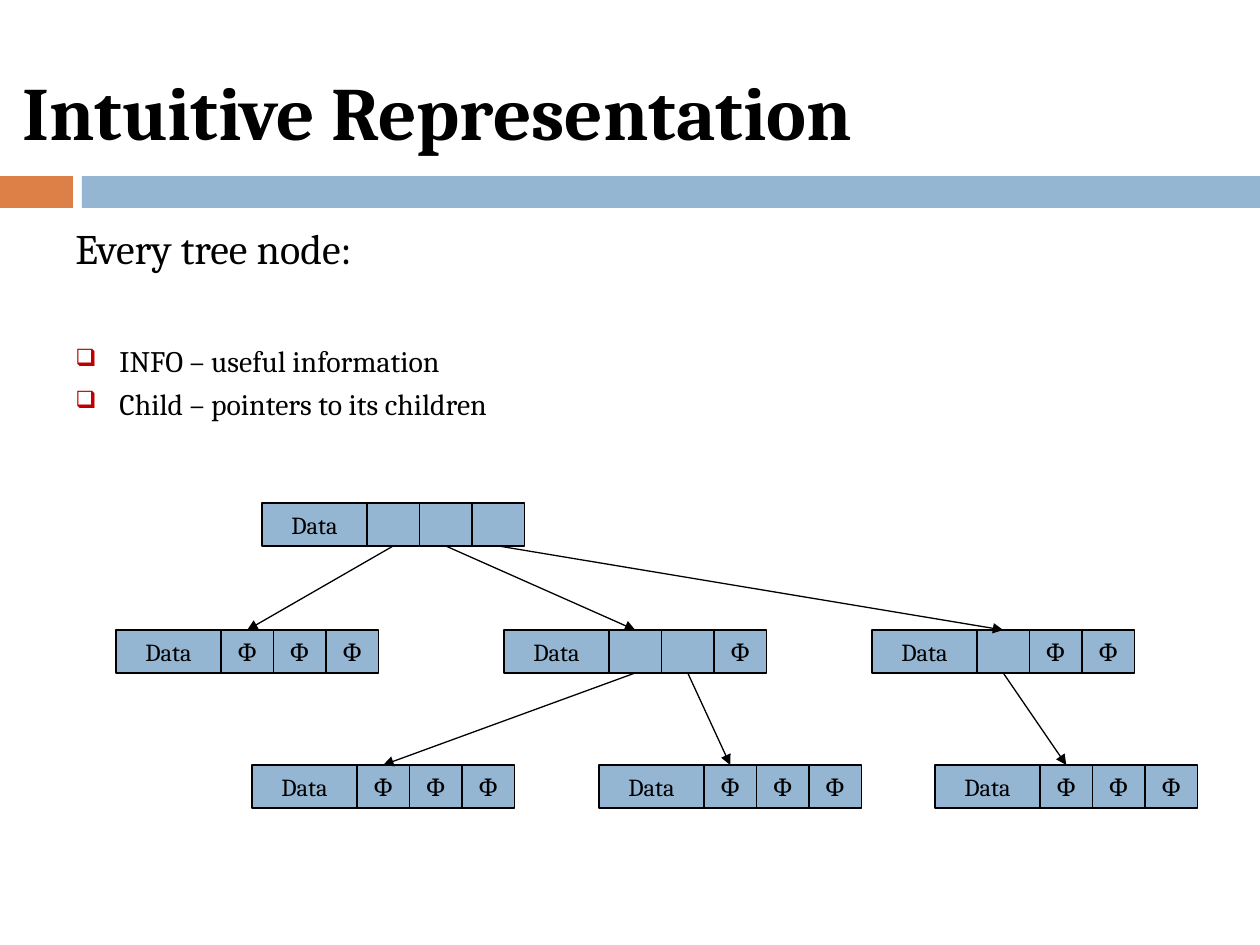
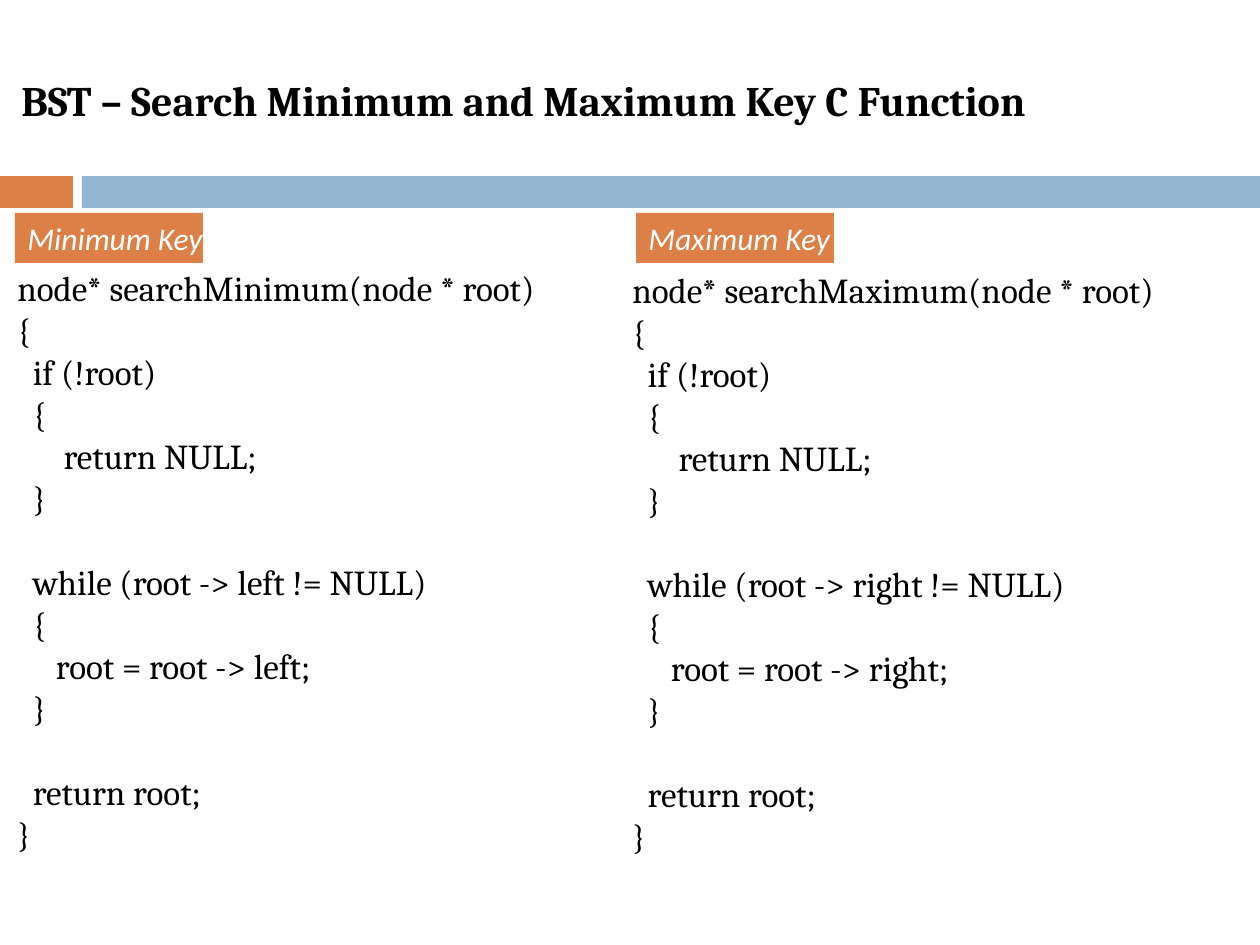
from dataclasses import dataclass

from lxml import etree
from pptx import Presentation
from pptx.dml.color import RGBColor
from pptx.enum.shapes import MSO_CONNECTOR, MSO_SHAPE
from pptx.enum.text import MSO_ANCHOR, PP_ALIGN
from pptx.oxml.ns import qn
from pptx.util import Emu, Pt

RECT, STRAIGHT = MSO_SHAPE.RECTANGLE, MSO_CONNECTOR.STRAIGHT
TOP, MIDDLE = MSO_ANCHOR.TOP, MSO_ANCHOR.MIDDLE
LEFT, CENTER = PP_ALIGN.LEFT, PP_ALIGN.CENTER
TOP_SITE, BOTTOM_SITE = 0, 2

# ---- Content ----
TREE_TITLE = "Intuitive Representation"
INTRO = "Every tree node:"
FIELDS = ["INFO – useful information", "Child – pointers to its children"]

# name: (left, top, children); a missing child is a null pointer
NODES = {
    "root": (262, 503, ["a", "b", "c"]),
    "a": (116, 630, [None, None, None]),
    "b": (504, 630, ["d", "e", None]),
    "c": (872, 630, ["f", None, None]),
    "d": (252, 765, [None, None, None]),
    "e": (599, 765, [None, None, None]),
    "f": (935, 765, [None, None, None]),
}
DATA, NULL = "Data", "Φ"

SEARCH_TITLE = "BST – Search Minimum and Maximum Key C Function"
SEARCH_CODE = """node* search{name}(node * root)
{{
  if (!root)
  {{
      return NULL;
  }}

  while (root -> {side} != NULL)
  {{
     root = root -> {side};
  }}

  return root;
}}"""
# name, child followed, label (left, width), code (left, top)
SEARCHES = [
    ("Minimum", "left", (15, 188), (5, 260)),
    ("Maximum", "right", (636, 198), (620, 262)),
]


@dataclass(frozen=True)
class Theme:
    orange: RGBColor = RGBColor(0xDD, 0x80, 0x47)
    blue: RGBColor = RGBColor(0x94, 0xB6, 0xD2)
    bullet: str = "C00000"
    black: RGBColor = RGBColor(0, 0, 0)
    white: RGBColor = RGBColor(255, 255, 255)
    serif: str = "Cambria"
    sans: str = "Calibri"
    big_title: int = 43
    small_title: int = 24
    intro: int = 24
    field: int = 17
    node: int = 14
    code: int = 20
    label: int = 18
    line: float = 0.75


THEME = Theme()
SLIDE_W, SLIDE_H = 1260, 945
BANDS = [(0, 73, THEME.orange), (82, SLIDE_W - 82, THEME.blue)]
BAND_TOP, BAND_H = 176, 32
DATA_W, NODE_H = 105, 43
POINTER_W = DATA_W / 2
FIELD_INDENT = 44
INTRO_GAP, CODE_GAP = 36, 24


def px(n):
    return Emu(round(n * 914400 / 126))


def add_box(shapes, x, y, w, h, fill):
    s = shapes.add_shape(RECT, px(x), px(y), px(w), px(h))
    s.shadow.inherit = False
    s.fill.solid()
    s.fill.fore_color.rgb = fill
    s.line.fill.background()
    return s


def add_textbox(slide, x, y, w, h):
    s = slide.shapes.add_textbox(px(x), px(y), px(w), px(h))
    s.text_frame.word_wrap = True
    return s


def style(p, size, color=THEME.black, font=THEME.serif, bold=False, italic=False):
    for r in p.runs:
        f = r.font
        f.size, f.name, f.bold, f.italic = Pt(size), font, bold, italic
        f.color.rgb = color


def set_text(s, text, size, anchor=TOP, align=LEFT, **look):
    tf = s.text_frame
    tf.text = text
    tf.vertical_anchor = anchor
    for p in tf.paragraphs:
        p.alignment = align
        style(p, size, **look)
    return tf


def add_bullet(p):
    pPr = p._p.get_or_add_pPr()
    pPr.set("marL", str(px(FIELD_INDENT)))
    pPr.set("indent", str(-px(FIELD_INDENT)))
    color = etree.SubElement(pPr, qn("a:buClr"))
    etree.SubElement(color, qn("a:srgbClr"), val=THEME.bullet)
    etree.SubElement(pPr, qn("a:buSzPct"), val="80000")
    etree.SubElement(pPr, qn("a:buChar"), char="❑")


def add_arrow(slide, start, end):
    """Join the bottom of one shape to the top of another."""
    c = slide.shapes.add_connector(STRAIGHT, 0, 0, 0, 0)
    c.begin_connect(start, BOTTOM_SITE)
    c.end_connect(end, TOP_SITE)
    c.line.color.rgb = THEME.black
    c.line.width = Pt(THEME.line)
    etree.SubElement(c.line._get_or_add_ln(), qn("a:tailEnd"), type="triangle")
    etree.SubElement(c._element.spPr, qn("a:effectLst"))


def add_slide(prs, title, size, x, y):
    slide = prs.slides.add_slide(prs.slide_layouts[6])
    for left, width, color in BANDS:
        add_box(slide.shapes, left, BAND_TOP, width, BAND_H, color)
    set_text(add_textbox(slide, x, y, 1124, 136), title, size, MIDDLE, bold=True)
    return slide


def add_node(slide, x, y, children):
    """Draw a data cell and its pointer cells; return the pointer cells."""
    group = slide.shapes.add_group_shape()
    cells = [(x, DATA_W, DATA)]
    for i, child in enumerate(children):
        cells.append((x + DATA_W + i * POINTER_W, POINTER_W, "" if child else NULL))
    boxes = []
    for left, width, text in cells:
        s = add_box(group.shapes, left, y, width, NODE_H, THEME.blue)
        s.line.color.rgb = THEME.black
        s.line.width = Pt(THEME.line)
        if text:
            tf = set_text(s, text, THEME.node, MIDDLE, CENTER)
            tf.margin_left = tf.margin_right = tf.margin_top = tf.margin_bottom = 0
        boxes.append(s)
    return boxes[1:]


def build_tree_slide(prs):
    slide = add_slide(prs, TREE_TITLE, THEME.big_title, 10, 42)
    tf = set_text(add_textbox(slide, 63, 216, 1134, 270), INTRO, THEME.intro)
    for i, field in enumerate(FIELDS):
        p = tf.add_paragraph()
        p.text = field
        add_bullet(p)
        p.line_spacing = 1.2
        p.space_before = Pt(0 if i else INTRO_GAP)
        style(p, THEME.field)

    pointers = {name: add_node(slide, *node) for name, node in NODES.items()}
    for name, (_, _, children) in NODES.items():
        for cell, child in zip(pointers[name], children):
            if child:
                add_arrow(slide, cell, pointers[child][0])


def add_code(slide, x, y, code):
    """Write code with its blank lines turned into paragraph spacing."""
    blocks = code.split("\n\n")
    s = add_textbox(slide, x, y, 605, 606)
    tf = set_text(s, "\n".join(blocks), THEME.code)
    first = 0
    for block in blocks[:-1]:
        first += len(block.split("\n"))
        tf.paragraphs[first].space_before = Pt(CODE_GAP)


def build_search_slide(prs):
    slide = add_slide(prs, SEARCH_TITLE, THEME.small_title, 9, 32)
    for name, side, (label_x, label_w), (code_x, code_y) in SEARCHES:
        add_code(slide, code_x, code_y, SEARCH_CODE.format(name=name, side=side))
        s = add_box(slide.shapes, label_x, 213, label_w, 50, THEME.orange)
        tf = set_text(s, f"{name} Key", THEME.label, MIDDLE,
                      color=THEME.white, font=THEME.sans, italic=True)
        tf.word_wrap = False
        tf.margin_right = 0


def main():
    prs = Presentation()
    prs.slide_width, prs.slide_height = px(SLIDE_W), px(SLIDE_H)
    build_tree_slide(prs)
    build_search_slide(prs)
    prs.save("out.pptx")


if __name__ == "__main__":
    main()
